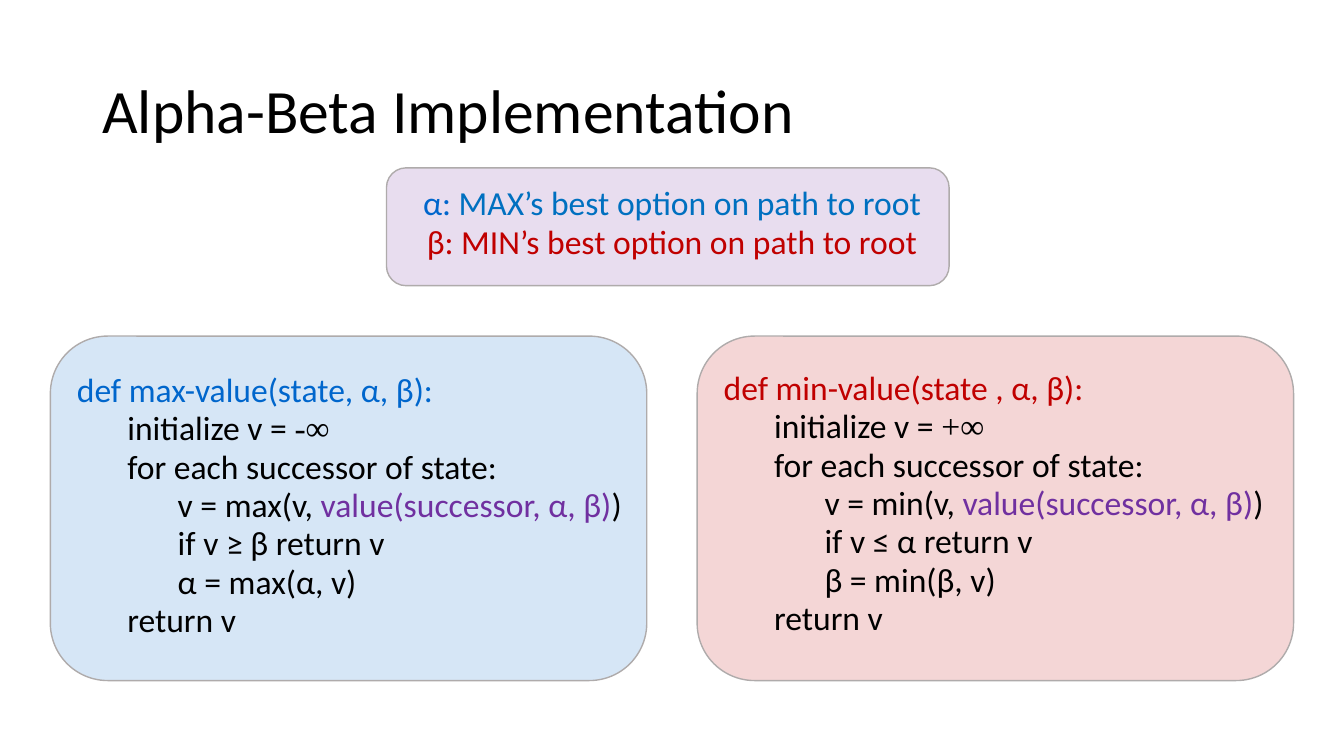
from lxml.etree import SubElement
from pptx import Presentation
from pptx.dml.color import RGBColor
from pptx.enum.shapes import MSO_SHAPE as Shape
from pptx.enum.text import MSO_ANCHOR as Anchor, PP_ALIGN as Align
from pptx.oxml.ns import qn
from pptx.util import Cm, Pt

BLACK = RGBColor(0x00, 0x00, 0x00)
GREY = RGBColor(0xAF, 0xAB, 0xAB)
MAX_BLUE = RGBColor(0x00, 0x66, 0xCC)
OPTION_BLUE = RGBColor(0x00, 0x70, 0xC0)
MIN_RED = RGBColor(0xC0, 0x00, 0x00)
PURPLE = RGBColor(0x70, 0x30, 0xA0)


class SlideWriter:
    """Draws tinted panels and styled text on one slide."""

    font = "Calibri"
    symbol_font = "Times New Roman"
    indent = 1.27

    def __init__(self, page):
        self.page = page

    def panel(self, left, top, width, height, color):
        box = self.page.shapes.add_shape(
            Shape.ROUNDED_RECTANGLE, Cm(left), Cm(top), Cm(width), Cm(height))
        box.shadow.inherit = False
        box.fill.solid()
        box.fill.fore_color.rgb = color
        tint = box.fill._xPr.find(qn("a:solidFill"))[0]
        SubElement(tint, qn("a:alpha"), val="16000")
        box.line.color.rgb = GREY
        box.line.width = Pt(1)

    def text(self, left, top, width, height, lines, size=24, spacing=0.8,
             before=4.3, align=Align.LEFT, anchor=Anchor.TOP):
        box = self.page.shapes.add_textbox(Cm(left), Cm(top), Cm(width), Cm(height))
        frame = box.text_frame
        frame.word_wrap = True
        frame.vertical_anchor = anchor
        for index, (level, spans) in enumerate(lines):
            para = frame.paragraphs[0] if index == 0 else frame.add_paragraph()
            para.alignment = align
            para.line_spacing = spacing
            para.space_before = Pt(before if index else 0)
            para._p.get_or_add_pPr().set("marL", str(Cm(self.indent * level)))
            for words, color, *font in spans:
                span = para.add_run()
                span.text = words
                span.font.size = Pt(size)
                span.font.name = font[0] if font else self.font
                span.font.color.rgb = color

    def algorithm(self, left, top, color, header, infinity, update, cutoff, bound):
        self.panel(left, 8.47, 15.03, 8.68, color)
        self.text(left + 0.42, top, 15.03, 6.35, [
            (0, [(header, color)]),
            (1, [("initialize v = ", BLACK), (infinity, BLACK, self.symbol_font)]),
            (1, [("for each successor of state:", BLACK)]),
            (2, [(update, BLACK), ("value(successor, α, β)", PURPLE), (")", BLACK)]),
            (2, [(cutoff, BLACK)]),
            (2, [(bound, BLACK)]),
            (1, [("return v", BLACK)]),
        ])


def main():
    deck = Presentation()
    deck.slide_width, deck.slide_height = Cm(33.87), Cm(19.05)
    writer = SlideWriter(deck.slides.add_slide(deck.slide_layouts[6]))

    writer.text(2.33, 1.02, 29.21, 3.68,
                [(0, [("Alpha-Beta Implementation", BLACK)])],
                size=44, spacing=0.9, anchor=Anchor.MIDDLE)

    writer.panel(9.74, 4.23, 14.18, 2.97, PURPLE)
    writer.text(0, 4.66, 32.6, 4.02, [
        (1, [("α: ", MAX_BLUE), ("MAX’s best option on path to root", OPTION_BLUE)]),
        (1, [("β: MIN’s best option on path to root", MIN_RED)]),
    ], before=5, align=Align.CENTER)

    writer.algorithm(1.27, 9.37, MAX_BLUE, "def max-value(state, α, β):", "-∞",
                     "v = max(v, ", "if v ≥ β return v", "α = max(α, v)")
    writer.algorithm(17.57, 9.32, MIN_RED, "def min-value(state , α, β):", "+∞",
                     "v = min(v, ", "if v ≤ α return v", "β = min(β, v)")

    deck.save("out.pptx")


if __name__ == "__main__":
    main()
